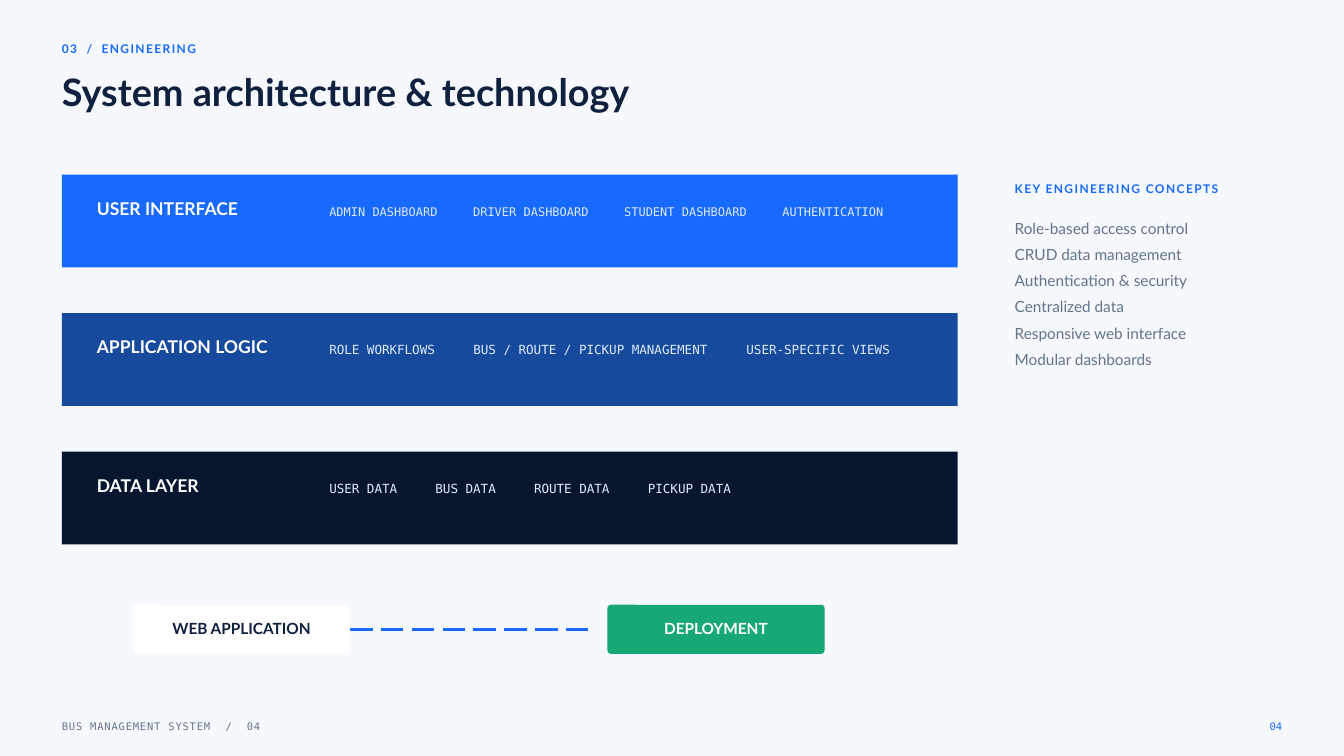
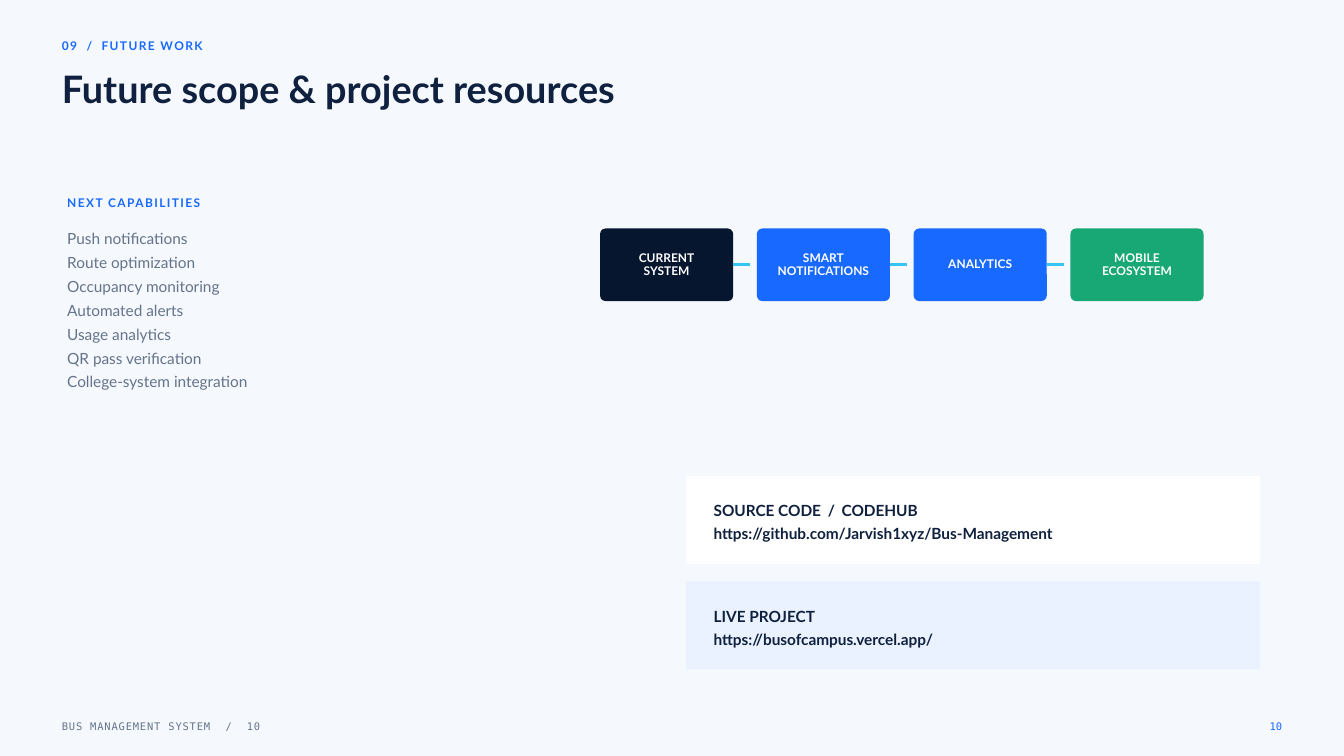
import pptx
import pptx.util
import pptx.dml.color
import pptx.enum.dml
import pptx.enum.shapes
import pptx.enum.text
import pptx.oxml.ns
from lxml import etree

Inches, Pt = pptx.util.Inches, pptx.util.Pt
ALIGN = pptx.enum.text.PP_ALIGN
ANCHOR = pptx.enum.text.MSO_ANCHOR
SHAPE = pptx.enum.shapes.MSO_SHAPE

# Shared look
W, H = 20, 11.25
MARGIN = 0.92
PAPER, WHITE, ICE = "F5F8FC", "FFFFFF", "EAF2FF"
INK, NIGHT, NAVY, GREY = "10213F", "07162F", "174A9C", "64748B"
BLUE, CYAN, GREEN, PALE = "1769FF", "36C5F0", "18A875", "DBEAFE"
LATO, MONO = "Lato", "DejaVu Sans Mono"
SPACE_EM = {LATO: 0.193, MONO: 0.602}  # width of a space, in ems


def style(size, color, leading, name=LATO, bold=False, spc=0):
    return dict(font=dict(size=Pt(size), name=name, bold=bold),
                color=color, leading=leading, spc=spc)


EYEBROW = style(12.8, BLUE, 17.8, bold=True, spc=1.5)
TITLE = style(40.5, INK, 43.7, bold=True)
LAYER = style(18.8, WHITE, 21.6, bold=True)
BOX = style(16.5, WHITE, 18.1, bold=True)
STAGE = style(12.8, WHITE, 14, bold=True)
RESOURCE = style(16.5, INK, 24.8, bold=True)
FOOTER = style(11.2, GREY, 15.7, MONO, spc=0.9)
PAGE = style(11.2, BLUE, 15.7, MONO)

# Content: a tuple is a pair set apart by a wide slash
FOOTER_TEXT = "BUS MANAGEMENT SYSTEM"
ARCHITECTURE = dict(
    page="04", eyebrow=("03", "ENGINEERING"), top=0.58,
    title="System architecture & technology")
LAYERS = [
    ("USER INTERFACE", BLUE, 12.8, 17.8,
     ["ADMIN DASHBOARD", "DRIVER DASHBOARD", "STUDENT DASHBOARD", "AUTHENTICATION"]),
    ("APPLICATION LOGIC", NAVY, 13.5, 18.9,
     ["ROLE WORKFLOWS", "BUS / ROUTE / PICKUP MANAGEMENT", "USER-SPECIFIC VIEWS"]),
    ("DATA LAYER", NIGHT, 13.5, 18.9,
     ["USER DATA", "BUS DATA", "ROUTE DATA", "PICKUP DATA"]),
]
CONCEPTS = ["Role-based access control", "CRUD data management",
            "Authentication & security", "Centralized data",
            "Responsive web interface", "Modular dashboards"]
DELIVERY = [("WEB APPLICATION", WHITE, INK), ("DEPLOYMENT", GREEN, WHITE)]

FUTURE = dict(
    page="10", eyebrow=("09", "FUTURE WORK"), top=0.54,
    title="Future scope & project resources")
CAPABILITIES = ["Push notifications", "Route optimization", "Occupancy monitoring",
                "Automated alerts", "Usage analytics", "QR pass verification",
                "College-system integration"]
STAGES = [(["CURRENT", "SYSTEM"], NIGHT), (["SMART", "NOTIFICATIONS"], BLUE),
          (["ANALYTICS"], BLUE), (["MOBILE", "ECOSYSTEM"], GREEN)]
RESOURCES = [
    ([("SOURCE CODE", "CODEHUB"), "https://github.com/Jarvish1xyz/Bus-Management"], WHITE),
    (["LIVE PROJECT", "https://busofcampus.vercel.app/"], ICE),
]


def rgb(value):
    return pptx.dml.color.RGBColor.from_string(value)


def add_run(p, text, st, extra=0):
    r = p.add_run()
    r.text = text
    for key, value in st["font"].items():
        setattr(r.font, key, value)
    r.font.color.rgb = rgb(st["color"])
    spc = st["spc"] + extra
    if spc:
        r._r.get_or_add_rPr().set("spc", str(round(spc * 100)))


def write(tf, lines, st, align=ALIGN.LEFT, inset=0, anchor=ANCHOR.TOP):
    frame = dict(word_wrap=True, vertical_anchor=anchor,
                 auto_size=pptx.enum.text.MSO_AUTO_SIZE.NONE)
    frame.update({f"margin_{side}": Inches(inset)
                  for side in ("left", "top", "right", "bottom")})
    for key, value in frame.items():
        setattr(tf, key, value)
    for i, line in enumerate(lines):
        p = tf.add_paragraph() if i else tf.paragraphs[0]
        p.alignment, p.line_spacing = align, Pt(st["leading"])
        p.space_before = p.space_after = Pt(0)
        if isinstance(line, str):
            add_run(p, line, st)
            continue
        # Each space beside the slash is stretched to twice its width
        font = st["font"]
        extra = SPACE_EM[font["name"]] * font["size"].pt + st["spc"]
        for text in (line[0], " ", "/", " ", line[1]):
            add_run(p, text, st, extra if text == " " else 0)


def add_text(slide, x, y, w, h, lines, st, **kw):
    tf = slide.shapes.add_textbox(*map(Inches, (x, y, w, h))).text_frame
    write(tf, lines, st, **kw)
    return tf


def add_box(slide, x, y, w, h, fill, radius=0):
    kind = SHAPE.ROUNDED_RECTANGLE if radius else SHAPE.RECTANGLE
    sp = slide.shapes.add_shape(kind, *map(Inches, (x, y, w, h)))
    if radius:
        sp.adjustments[0] = radius / h
    sp.shadow.inherit = False
    sp.fill.solid()
    sp.fill.fore_color.rgb = rgb(fill)
    sp.line.fill.background()
    return sp


def add_label_box(slide, x, y, w, h, fill, radius, lines, st):
    sp = add_box(slide, x, y, w, h, fill, radius)
    write(sp.text_frame, lines, st, align=ALIGN.CENTER, inset=0.06, anchor=ANCHOR.MIDDLE)
    return sp


def add_link(slide, box, x2, color, dash=None):
    y = box.top + box.height // 2
    line = slide.shapes.add_connector(
        pptx.enum.shapes.MSO_CONNECTOR.STRAIGHT, box.left + box.width, y, Inches(x2), y)
    line.begin_connect(box, 3)
    line.line.color.rgb = rgb(color)
    line.line.width = Pt(3)
    if dash:
        line.line.dash_style = dash
    etree.SubElement(line._element.spPr, pptx.oxml.ns.qn("a:effectLst"))


def add_tabbed(slide, x, y, w, h, items, st, gap=5):
    """One line of fixed-width items, set apart by tab stops."""
    tf = add_text(slide, x, y, w, h, ["\t".join(items)], st)
    tabs = etree.SubElement(tf.paragraphs[0]._p.get_or_add_pPr(), pptx.oxml.ns.qn("a:tabLst"))
    chars = 0
    for item in items[:-1]:
        chars += len(item) + gap
        pos = Pt(chars * SPACE_EM[MONO] * st["font"]["size"].pt)
        etree.SubElement(tabs, pptx.oxml.ns.qn("a:tab"), pos=str(int(pos)), algn="l")


def add_list(slide, x, y, w, heading, items, leading, drop):
    add_text(slide, x, y, w, 0.23, [heading], EYEBROW)
    add_text(slide, x, y + drop, w, len(items) * leading / 72, items,
             style(16.5, GREY, leading))


def add_page(prs, page, eyebrow, top, title):
    slide = prs.slides.add_slide(prs.slide_layouts[5])
    slide.background.fill.solid()
    slide.background.fill.fore_color.rgb = rgb(PAPER)
    add_text(slide, MARGIN, top, 4.17, 0.23, [eyebrow], EYEBROW)
    sp = slide.shapes.title
    sp.left, sp.top, sp.width, sp.height = map(Inches, (MARGIN, top + 0.51, 12.5, 0.62))
    write(sp.text_frame, [title], TITLE)
    add_text(slide, MARGIN, 10.68, 6.46, 0.21, [(FOOTER_TEXT, page)], FOOTER)
    add_text(slide, W - MARGIN - 0.75, 10.68, 0.75, 0.21, [page], PAGE, align=ALIGN.RIGHT)
    return slide


def build_architecture(prs):
    slide = add_page(prs, **ARCHITECTURE)
    # Layer bands
    for i, (name, fill, size, leading, items) in enumerate(LAYERS):
        y = 2.6 + i * 2.06
        add_box(slide, MARGIN, y, 13.33, 1.38, fill)
        add_text(slide, 1.44, y + 0.36, 3.23, 0.3, [name], LAYER)
        add_tabbed(slide, 4.9, y + 0.66 - leading / 72, 9, 0.25, items,
                   style(size, PALE, leading, MONO))
    add_list(slide, 15.1, 2.67, 3.96, "KEY ENGINEERING CONCEPTS", CONCEPTS, 28.1, 0.47)
    # From application to deployment
    boxes = [add_label_box(slide, 1.98 + i * 7.06, 9, 3.23, 0.73, fill, 0.05,
                           [name], dict(BOX, color=color))
             for i, (name, fill, color) in enumerate(DELIVERY)]
    add_link(slide, boxes[0], 8.88, BLUE, pptx.enum.dml.MSO_LINE.LONG_DASH)


def build_future(prs):
    slide = add_page(prs, **FUTURE)
    add_list(slide, 1, 2.88, 5.42, "NEXT CAPABILITIES", CAPABILITIES, 25.6, 0.45)
    # Roadmap stages
    pitch, width = 7 / 3, 1.98
    for i, (lines, fill) in enumerate(STAGES):
        x = 8.93 + i * pitch
        sp = add_label_box(slide, x, 3.4, width, 1.08, fill, 0.08, lines, STAGE)
        if i < len(STAGES) - 1:
            add_link(slide, sp, x + width + 0.25, CYAN)
    # Resource panels
    for i, (lines, fill) in enumerate(RESOURCES):
        y = 7.08 + i * 1.57
        add_box(slide, 10.21, y, 8.54, 1.31, fill)
        add_text(slide, 10.62, y + 0.31, 7.71, 0.69, lines, RESOURCE)


def main():
    prs = pptx.Presentation()
    prs.slide_width, prs.slide_height = Inches(W), Inches(H)
    build_architecture(prs)
    build_future(prs)
    prs.save("out.pptx")


if __name__ == "__main__":
    main()
